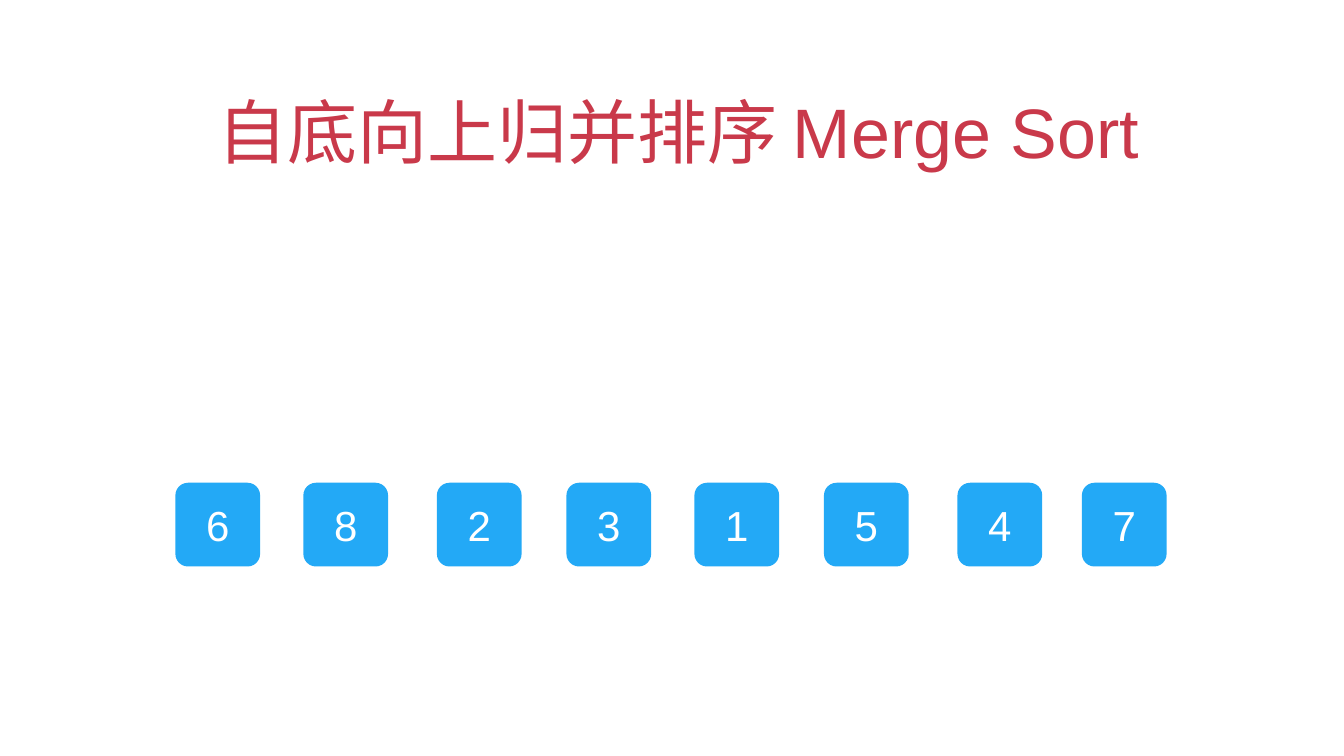
from pptx import Presentation
from pptx.dml.color import RGBColor
from pptx.enum.shapes import MSO_SHAPE
from pptx.enum.text import MSO_ANCHOR, PP_ALIGN
from pptx.util import Cm, Pt

ROUNDED = MSO_SHAPE.ROUNDED_RECTANGLE
MIDDLE, BOTTOM = MSO_ANCHOR.MIDDLE, MSO_ANCHOR.BOTTOM
CENTER = PP_ALIGN.CENTER

RED = RGBColor(0xC9, 0x39, 0x4A)
BLUE = RGBColor(0x23, 0xA9, 0xF6)
WHITE = RGBColor(0xFF, 0xFF, 0xFF)

FONT = "Arial"
INSET = 0.15
TITLE_INDENT = 0.64
TILE_WIDTH, TILE_HEIGHT = 4.27, 4.22
TILES = [
    ("6", 0), ("8", 6.45), ("2", 13.18), ("3", 19.71),
    ("1", 26.16), ("5", 32.69), ("4", 39.42), ("7", 45.69),
]


def write_text(box, text, size, color, anchor):
    """Write one centred line into a box and return its paragraph."""
    frame = box.text_frame
    frame.word_wrap = True
    frame.vertical_anchor = anchor
    frame.margin_left = frame.margin_right = Cm(INSET)
    frame.margin_top = frame.margin_bottom = Cm(INSET)
    para = frame.paragraphs[0]
    para.alignment = CENTER
    span = para.add_run()
    span.text = text
    span.font.name = FONT
    span.font.size = Pt(size)
    span.font.color.rgb = color
    return para


def add_title(page, left, top, width, height):
    """Place the heading with a first-line indent."""
    box = page.shapes.add_textbox(Cm(left), Cm(top), Cm(width), Cm(height))
    para = write_text(box, "自底向上归并排序 Merge Sort", 100, RED, BOTTOM)
    properties = para._p.get_or_add_pPr()
    properties.set("marL", "0")
    properties.set("indent", str(Cm(TITLE_INDENT)))


def add_array(page, left, top):
    """Place the numbers to be sorted as a row of tiles."""
    for number, offset in TILES:
        tile = page.shapes.add_shape(
            ROUNDED, Cm(left + offset), Cm(top), Cm(TILE_WIDTH), Cm(TILE_HEIGHT)
        )
        tile.adjustments[0] = 0.15
        tile.shadow.inherit = False
        tile.fill.solid()
        tile.fill.fore_color.rgb = BLUE
        tile.line.fill.background()
        write_text(tile, number, 60, WHITE, MIDDLE)


def main():
    """Build the merge sort slide and save the deck."""
    deck = Presentation()
    deck.slide_width, deck.slide_height = Cm(67.74), Cm(38.1)
    page = deck.slides.add_slide(deck.slide_layouts[6])
    page.background.fill.solid()
    page.background.fill.fore_color.rgb = WHITE
    add_title(page, 4.93, 3.23, 57.86, 5.64)
    add_array(page, 8.84, 24.33)
    deck.save("out.pptx")


if __name__ == "__main__":
    main()
